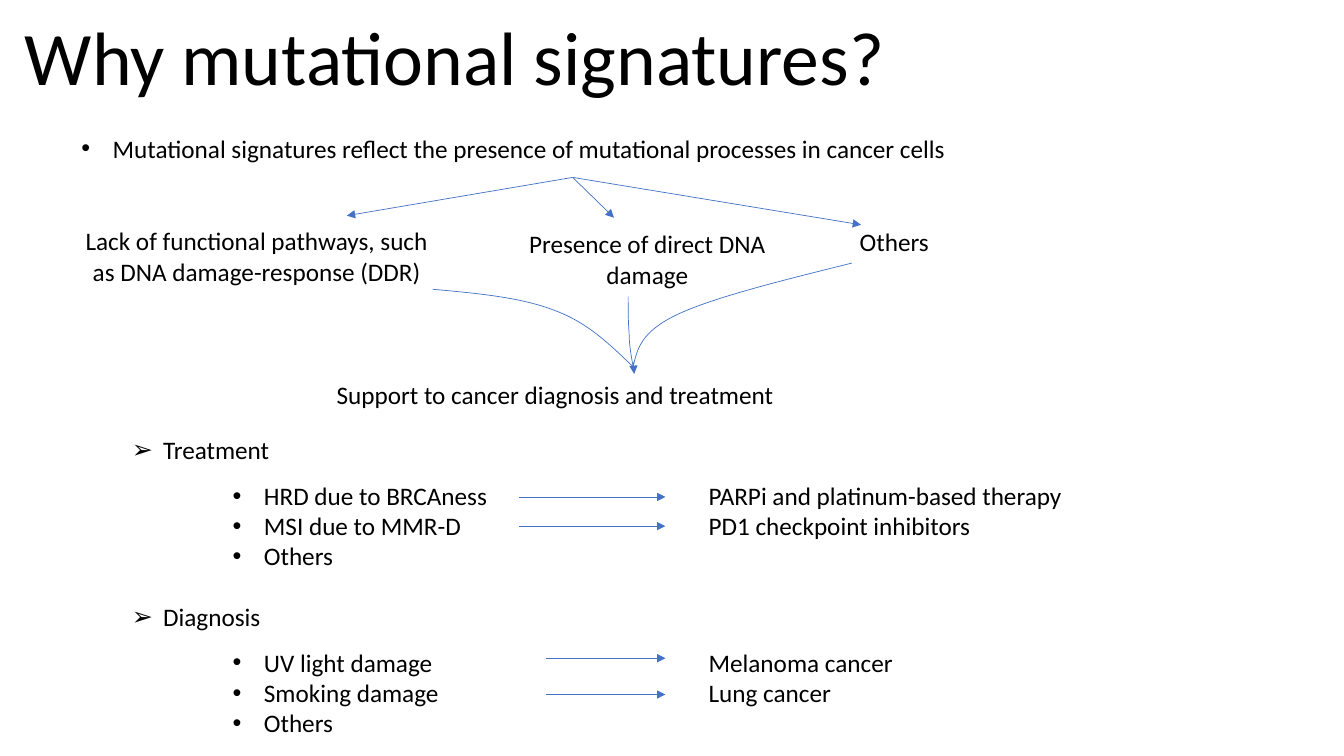
from lxml import etree
from pptx import Presentation
from pptx.dml.color import RGBColor
from pptx.enum.shapes import MSO_CONNECTOR
from pptx.enum.text import MSO_AUTO_SIZE, PP_ALIGN
from pptx.oxml.ns import qn
from pptx.util import Emu, Pt

BLACK = RGBColor(0x00, 0x00, 0x00)
BLUE = RGBColor(0x44, 0x72, 0xC4)
STRAIGHT = MSO_CONNECTOR.STRAIGHT
FIT = MSO_AUTO_SIZE.SHAPE_TO_FIT_TEXT
FIXED = MSO_AUTO_SIZE.NONE
LEFT, CENTER = PP_ALIGN.LEFT, PP_ALIGN.CENTER
EMU_PER_PX = 9144
HANGING = 31
OUTCOME_TAB = 622


def px(length):
    return Emu(length * EMU_PER_PX)


class SlideBuilder:
    font_name = "Calibri"
    body_size = 18
    line_width = Pt(0.5)

    def __init__(self, slide):
        self.slide = slide

    def style(self, paragraph, size):
        paragraph.font.name = self.font_name
        paragraph.font.size = Pt(size)
        paragraph.font.color.rgb = BLACK

    def frame(self, left, top, width, height, wrap=True, fit=FIT):
        box = self.slide.shapes.add_textbox(px(left), px(top), px(width), px(height))
        box.text_frame.word_wrap = wrap
        box.text_frame.auto_size = fit
        return box.text_frame

    def label(self, text, left, top, width, height, align=CENTER, size=body_size, wrap=True):
        paragraph = self.frame(left, top, width, height, wrap).paragraphs[0]
        paragraph.text = text
        paragraph.alignment = align
        self.style(paragraph, size)

    def outline(self, entries, left, top, width, height):
        frame = self.frame(left, top, width, height, fit=FIXED)
        for index, (text, bullet, level, indent, before, spacing) in enumerate(entries):
            paragraph = frame.add_paragraph() if index else frame.paragraphs[0]
            paragraph.text = text
            paragraph.level = level
            if before:
                paragraph.space_before = Pt(before)
            paragraph.line_spacing = spacing
            properties = paragraph._p.get_or_add_pPr()
            properties.set("marL", str(px(indent)))
            properties.set("indent", str(px(-HANGING)))
            etree.SubElement(properties, qn("a:buFont"), typeface="Arial")
            etree.SubElement(properties, qn("a:buChar"), char=bullet)
            if "\t" in text:
                tabs = etree.SubElement(properties, qn("a:tabLst"))
                etree.SubElement(tabs, qn("a:tab"), pos=str(px(OUTCOME_TAB)), algn="l")
            self.style(paragraph, self.body_size)

    def arrow(self, start, end):
        connector = self.slide.shapes.add_connector(STRAIGHT, *map(px, start + end))
        connector.line.color.rgb = BLUE
        connector.line.width = self.line_width
        etree.SubElement(connector.line._get_or_add_ln(), qn("a:tailEnd"), type="triangle")
        etree.SubElement(connector._element.spPr, qn("a:effectLst"))

    def curve(self, start, *controls):
        builder = self.slide.shapes.build_freeform(*start, scale=EMU_PER_PX)
        builder.add_line_segments(controls, close=False)
        shape = builder.convert_to_shape()
        segments = list(shape._element.iter(qn("a:lnTo")))
        for first in range(0, len(segments), 3):
            bezier = etree.SubElement(segments[first].getparent(), qn("a:cubicBezTo"))
            for segment in segments[first:first + 3]:
                bezier.append(segment[0])
                segment.getparent().remove(segment)
        shape.fill.background()
        shape.line.color.rgb = BLUE
        shape.line.width = self.line_width
        shape.shadow.inherit = False


def main():
    presentation = Presentation()
    presentation.slide_width, presentation.slide_height = px(1333), px(750)
    builder = SlideBuilder(presentation.slides.add_slide(presentation.slide_layouts[6]))

    builder.label("Why mutational signatures?", 10, 5, 882, 101, size=54, wrap=False)

    topics = [
        ("Treatment", 194, ["HRD due to BRCAness\tPARPi and platinum-based therapy",
                            "MSI due to MMR-D\tPD1 checkpoint inhibitors", "Others"]),
        ("Diagnosis", 22, ["UV light damage\tMelanoma cancer",
                           "Smoking damage\tLung cancer", "Others"]),
    ]
    entries = [("Mutational signatures reflect the presence of mutational processes "
                "in cancer cells", "•", 0, 31, 0, 1.0)]
    for topic, before, examples in topics:
        entries.append((topic, "➢", 1, 81, before, 1.0))
        for index, example in enumerate(examples):
            entries.append((example, "•", 3, 181, 0, 1.0 if index else 1.5))
    builder.outline(entries, 71, 127, 1140, 620)

    builder.label("Lack of functional pathways, such as DNA damage-response (DDR)",
                  67, 219, 375, 71)
    builder.label("Presence of direct DNA damage", 500, 222, 284, 71)
    builder.label("Others", 762, 220, 250, 40)
    builder.label("Support to cancer diagnosis and treatment", 324, 371, 469, 40, align=LEFT)

    processes = (568, 176)
    for cause in [(344, 214), (609, 216), (854, 223)]:
        builder.arrow(processes, cause)

    support = (628, 364)
    builder.curve((429, 287), (473, 291), (517, 295), (550, 308),
                  (583, 320), (605, 342), support)
    builder.curve((623, 294), (623, 306), (623, 319), (624, 331),
                  (624, 342), (626, 353), support)
    builder.curve((845, 261), (777, 278), (708, 295), (672, 312),
                  (636, 329), (632, 346), support)
    builder.arrow((628, 359), (629, 371))

    for left, y in [(515, 493), (515, 522), (542, 653), (542, 689)]:
        builder.arrow((left, y), (660, y))

    presentation.save("out.pptx")


if __name__ == "__main__":
    main()
